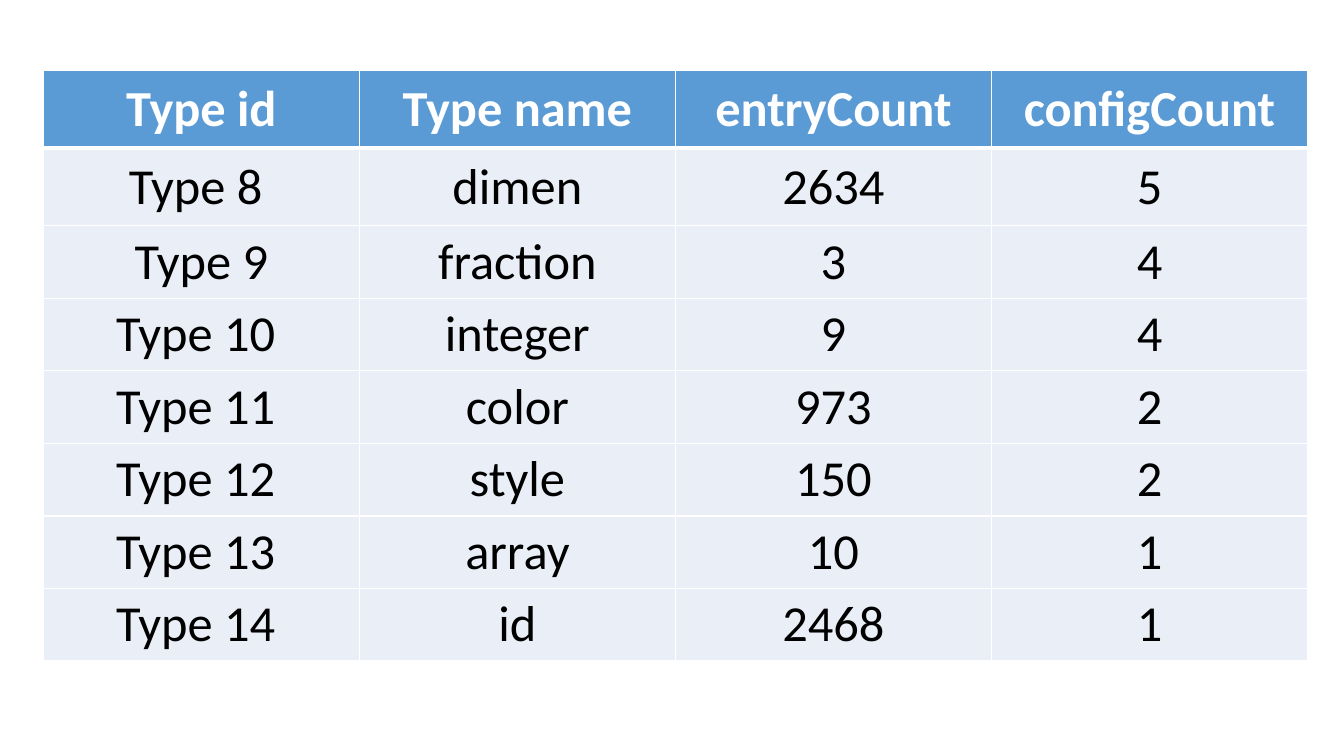
from pptx import Presentation
from pptx.dml.color import RGBColor
from pptx.enum import text
from pptx.oxml import parse_xml
from pptx.oxml.ns import nsdecls
from pptx.util import Inches, Pt

WHITE = RGBColor(0xFF, 0xFF, 0xFF)
BLACK = RGBColor(0x00, 0x00, 0x00)
HEADER_BLUE = RGBColor(0x5B, 0x9B, 0xD5)
PALE_BLUE = RGBColor(0xEA, 0xEF, 0xF7)

TYPE_COUNTS = [
    ("Type id", "Type name", "entryCount", "configCount"),
    ("Type 8 ", "dimen", "2634", "5"),
    ("Type 9", "fraction", "3", "4"),
    ("Type 10 ", "integer", "9", "4"),
    ("Type 11 ", "color", "973", "2"),
    ("Type 12 ", "style", "150", "2"),
    ("Type 13 ", "array", "10", "1"),
    ("Type 14 ", "id", "2468", "1"),
]
ROW_HEIGHTS = [0.77] * 2 + [0.72] * 6
HEADER_FORMAT = {"bold": True, "size": Pt(36), "name": "Calibri"}
BODY_FORMAT = {**HEADER_FORMAT, "bold": False}


def add_borders(cell, widths):
    """Draw white borders of the given point widths, keyed by side."""
    properties = cell._tc.get_or_add_tcPr()
    for side, width in widths.items():
        properties.append(parse_xml(
            f'<a:ln{side} {nsdecls("a")} w="{Pt(width)}"><a:solidFill>'
            f'<a:srgbClr val="{WHITE}"/></a:solidFill></a:ln{side}>'))


def fill_cell(cell, words, row):
    """Write and style one cell according to its row."""
    is_header = row == 0
    add_borders(cell, {"L": 1, "R": 1, "T": 3 if row == 1 else 1,
                       "B": 3 if is_header else 1})
    cell.fill.solid()
    cell.fill.fore_color.rgb = HEADER_BLUE if is_header else PALE_BLUE
    cell.vertical_anchor = text.MSO_ANCHOR.MIDDLE
    cell.text = words
    paragraph = cell.text_frame.paragraphs[0]
    paragraph.alignment = text.PP_ALIGN.CENTER
    font = paragraph.runs[0].font
    for attribute, value in (HEADER_FORMAT if is_header else BODY_FORMAT).items():
        setattr(font, attribute, value)
    font.color.rgb = WHITE if is_header else BLACK


def add_type_table(slide):
    """Add the table of resource types and their counts."""
    table = slide.shapes.add_table(
        len(TYPE_COUNTS), len(TYPE_COUNTS[0]), Inches(0.43), Inches(0.7),
        Inches(12.54), Inches(sum(ROW_HEIGHTS))).table
    table.horz_banding = False
    for row, (height, entries) in enumerate(zip(ROW_HEIGHTS, TYPE_COUNTS)):
        table.rows[row].height = Inches(height)
        for column, words in enumerate(entries):
            fill_cell(table.cell(row, column), words, row)


def main():
    """Build and save the slide."""
    deck = Presentation()
    deck.slide_width, deck.slide_height = Inches(13.33), Inches(7.5)
    add_type_table(deck.slides.add_slide(deck.slide_layouts[6]))
    deck.save("out.pptx")


if __name__ == "__main__":
    main()
